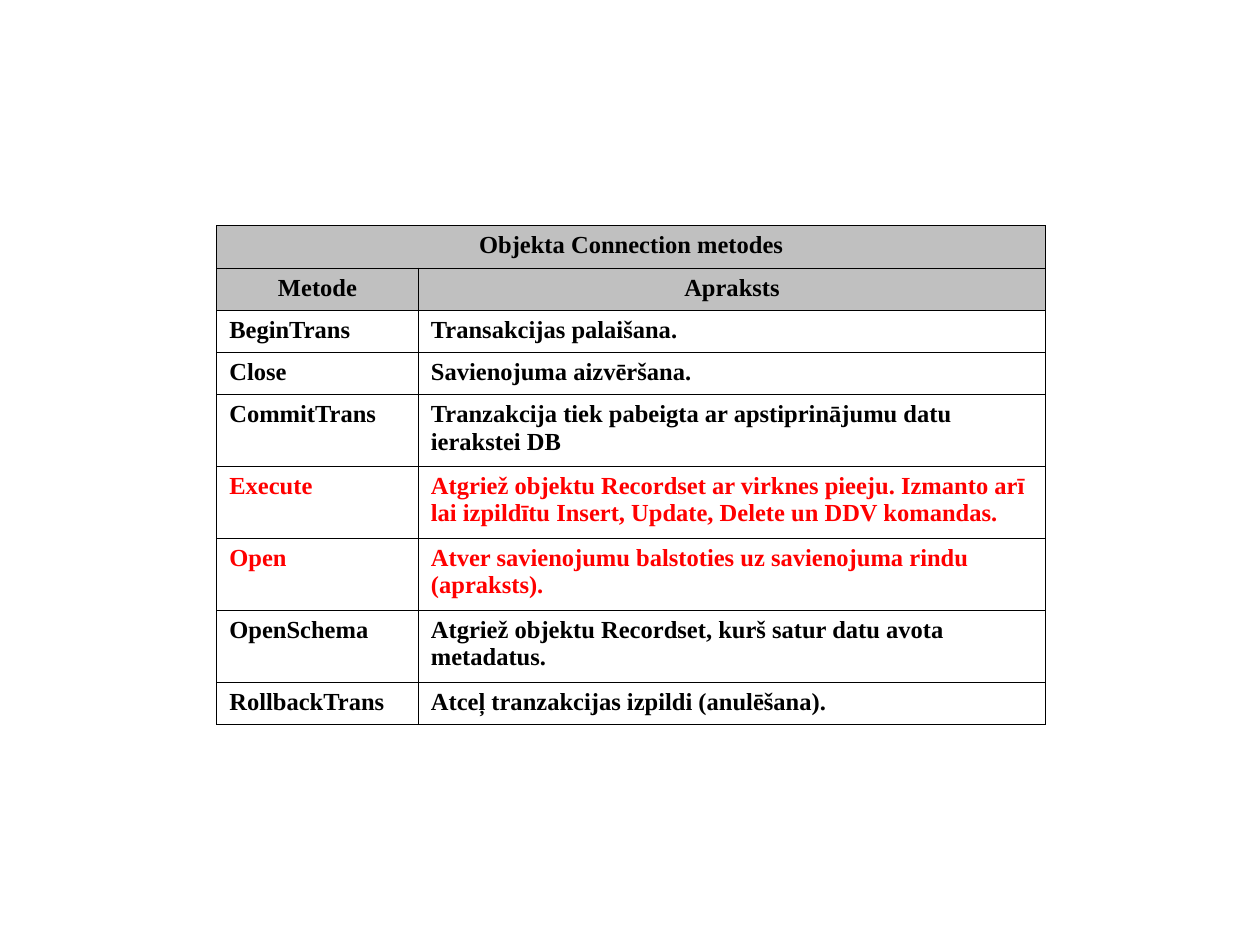
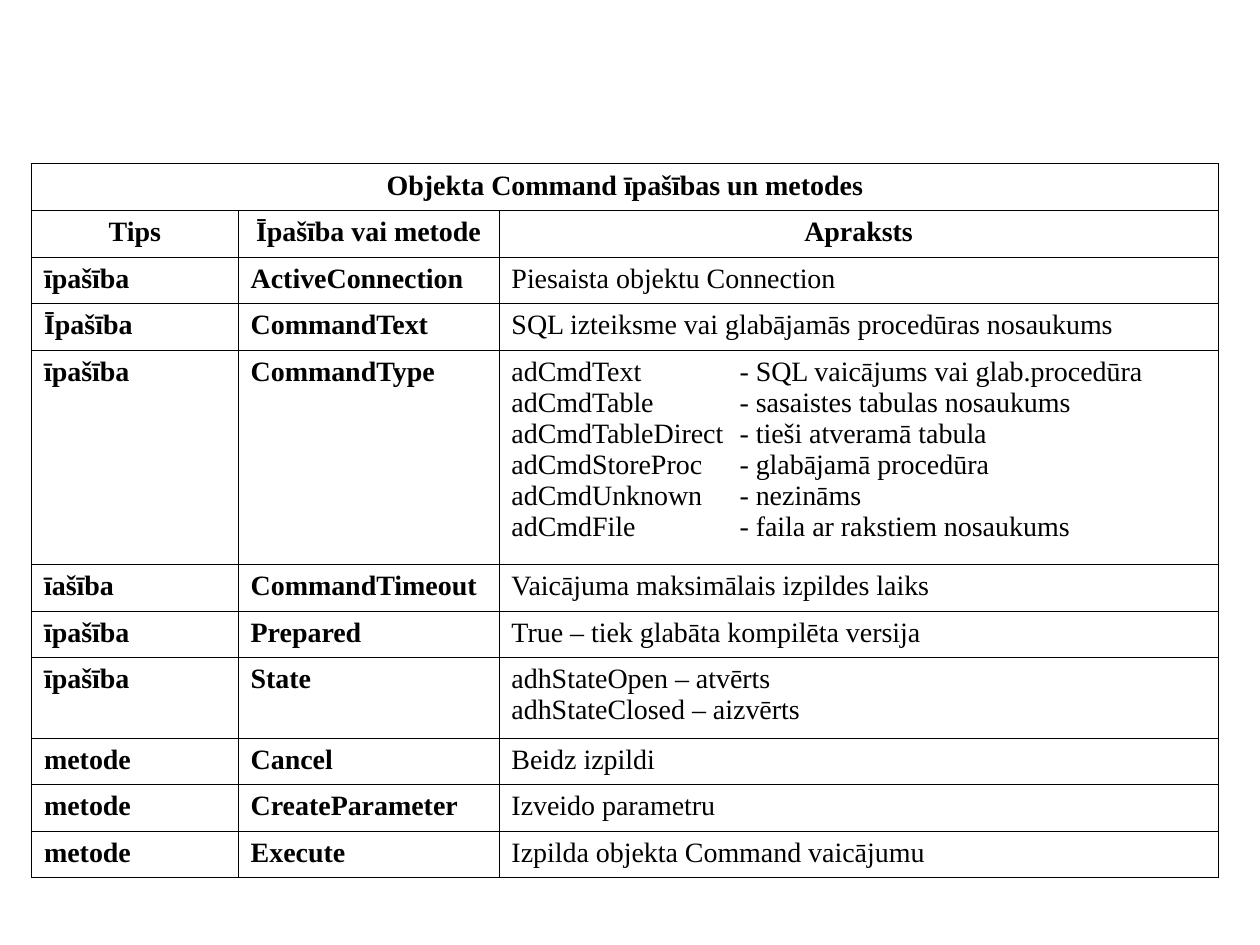
from lxml.etree import SubElement
from pptx import Presentation
from pptx.dml.color import RGBColor
from pptx.enum.text import PP_ALIGN as Align
from pptx.oxml.ns import qn
from pptx.util import Inches, Pt

FONT = "Times New Roman"
BLACK, RED, GREY = "000000", "FF0000", "C0C0C0"
HEADER_ROWS = 2
DASH_TAB = 1.81

CONNECTION_ROWS = [
    ("Objekta Connection metodes", ""),
    ("Metode", "Apraksts"),
    ("BeginTrans", "Transakcijas palaišana."),
    ("Close", "Savienojuma aizvēršana."),
    ("CommitTrans", "Tranzakcija tiek pabeigta ar apstiprinājumu datu ierakstei DB"),
    ("Execute", "Atgriež objektu Recordset ar virknes pieeju. Izmanto arī "
                "lai izpildītu Insert, Update, Delete un DDV komandas."),
    ("Open", "Atver savienojumu balstoties uz savienojuma rindu (apraksts)."),
    ("OpenSchema", "Atgriež objektu Recordset, kurš satur datu avota metadatus."),
    ("RollbackTrans", "Atceļ tranzakcijas izpildi (anulēšana)."),
]
COMMAND_TYPES = [
    ("adCmdText", "SQL vaicājums vai glab.procedūra"),
    ("adCmdTable", "sasaistes tabulas nosaukums"),
    ("adCmdTableDirect", "tieši atveramā tabula"),
    ("adCmdStoreProc", "glabājamā procedūra"),
    ("adCmdUnknown", "nezināms"),
    ("adCmdFile", "faila ar rakstiem nosaukums"),
]
COMMAND_ROWS = [
    ("Objekta Command īpašības un metodes", "", ""),
    ("Tips", "Īpašība vai metode", "Apraksts"),
    ("īpašība", "ActiveConnection", "Piesaista objektu Connection"),
    ("Īpašība", "CommandText", "SQL izteiksme vai glabājamās procedūras nosaukums"),
    ("īpašība", "CommandType", "\n".join(f"{name}\t- {use}" for name, use in COMMAND_TYPES)),
    ("īašība", "CommandTimeout", "Vaicājuma maksimālais izpildes laiks"),
    ("īpašība", "Prepared", "True – tiek glabāta kompilēta versija"),
    ("īpašība", "State", "adhStateOpen – atvērts\nadhStateClosed – aizvērts"),
    ("metode", "Cancel", "Beidz izpildi"),
    ("metode", "CreateParameter", "Izveido parametru"),
    ("metode", "Execute", "Izpilda objekta Command vaicājumu"),
]


def rgb(value):
    """Turn a hex string into a colour."""
    return RGBColor.from_string(value)


def add_tab(p, position):
    """Give a paragraph one left tab stop, in inches."""
    tabs = SubElement(p._p.get_or_add_pPr(), qn("a:tabLst"))
    SubElement(tabs, qn("a:tab"), pos=str(Inches(position)), algn="l")


def write(tf, text, size=14, bold=True, color=BLACK, align=Align.LEFT):
    """Write each line of the text as a formatted paragraph."""
    for i, line in enumerate(text.split("\n")):
        p = tf.add_paragraph() if i else tf.paragraphs[0]
        p.alignment = align
        if "\t" in line:
            add_tab(p, DASH_TAB)
        r = p.add_run()
        r.text = line
        r.font.name, r.font.size, r.font.bold = FONT, Pt(size), bold
        r.font.color.rgb = rgb(color)


def add_borders(cell, color=BLACK, width=0.45):
    """Draw a thin line on all four sides of a cell."""
    tc_pr = cell._tc.get_or_add_tcPr()
    for side in ("lnL", "lnR", "lnT", "lnB"):
        ln = SubElement(tc_pr, qn(f"a:{side}"), w=str(Pt(width)))
        fill = SubElement(ln, qn("a:solidFill"))
        SubElement(fill, qn("a:srgbClr"), val=color)


def table_slide(prs, rows, box, widths, heights, size, header_fill=None,
                plain_columns=(), red_rows=()):
    """Add a slide with a bordered table under a merged title row."""
    s = prs.slides.add_slide(prs.slide_layouts[6])
    frame = s.shapes.add_table(len(rows), len(widths), *map(Inches, box))
    table = frame.table
    table.first_row = table.horz_banding = False
    for column, width in zip(table.columns, widths):
        column.width = Inches(width)
    for row, height in zip(table.rows, heights):
        row.height = Inches(height)
    table.cell(0, 0).merge(table.cell(0, len(widths) - 1))
    for i, texts in enumerate(rows):
        header = i < HEADER_ROWS
        for j, text in enumerate(texts):
            cell = table.cell(i, j)
            add_borders(cell)
            if header and header_fill:
                cell.fill.solid()
                cell.fill.fore_color.rgb = rgb(header_fill)
            else:
                cell.fill.background()
            if text:
                write(cell.text_frame, text, size=size,
                      bold=header or j not in plain_columns,
                      color=RED if texts[0] in red_rows else BLACK,
                      align=Align.CENTER if header else Align.LEFT)


def main():
    """Build both table slides and save them."""
    prs = Presentation()
    prs.slide_width, prs.slide_height = Inches(10), Inches(7.5)
    table_slide(prs, CONNECTION_ROWS, (1.72, 1.79, 6.58, 3.98), (1.6, 4.98),
                [0.336] * 4 + [0.57] * 4 + [0.336], size=14,
                header_fill=GREY, red_rows=("Execute", "Open"))
    table_slide(prs, COMMAND_ROWS, (0.25, 1.3, 9.42, 5.67), (1.64, 2.07, 5.71),
                [0.37] * 4 + [1.7] + [0.37] * 2 + [0.64] + [0.37] * 3, size=16,
                plain_columns=(2,))
    prs.save("out.pptx")


if __name__ == "__main__":
    main()
